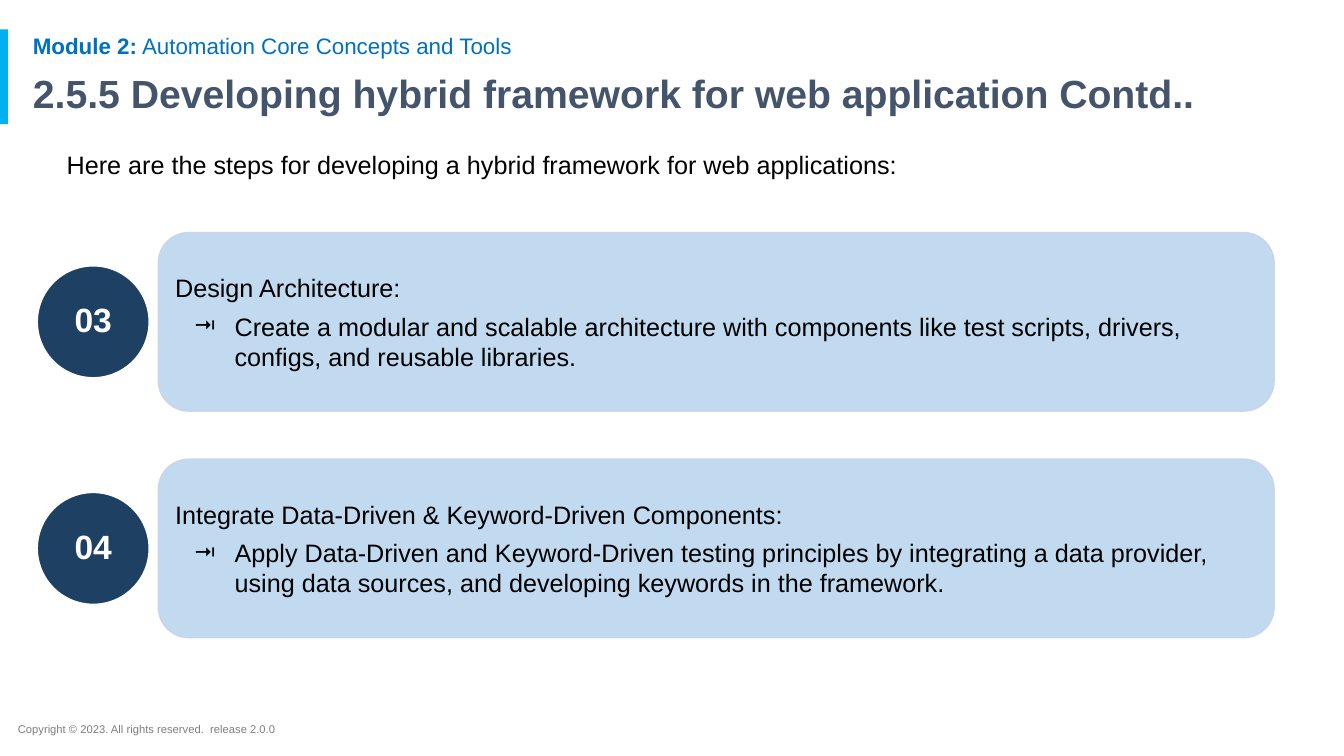
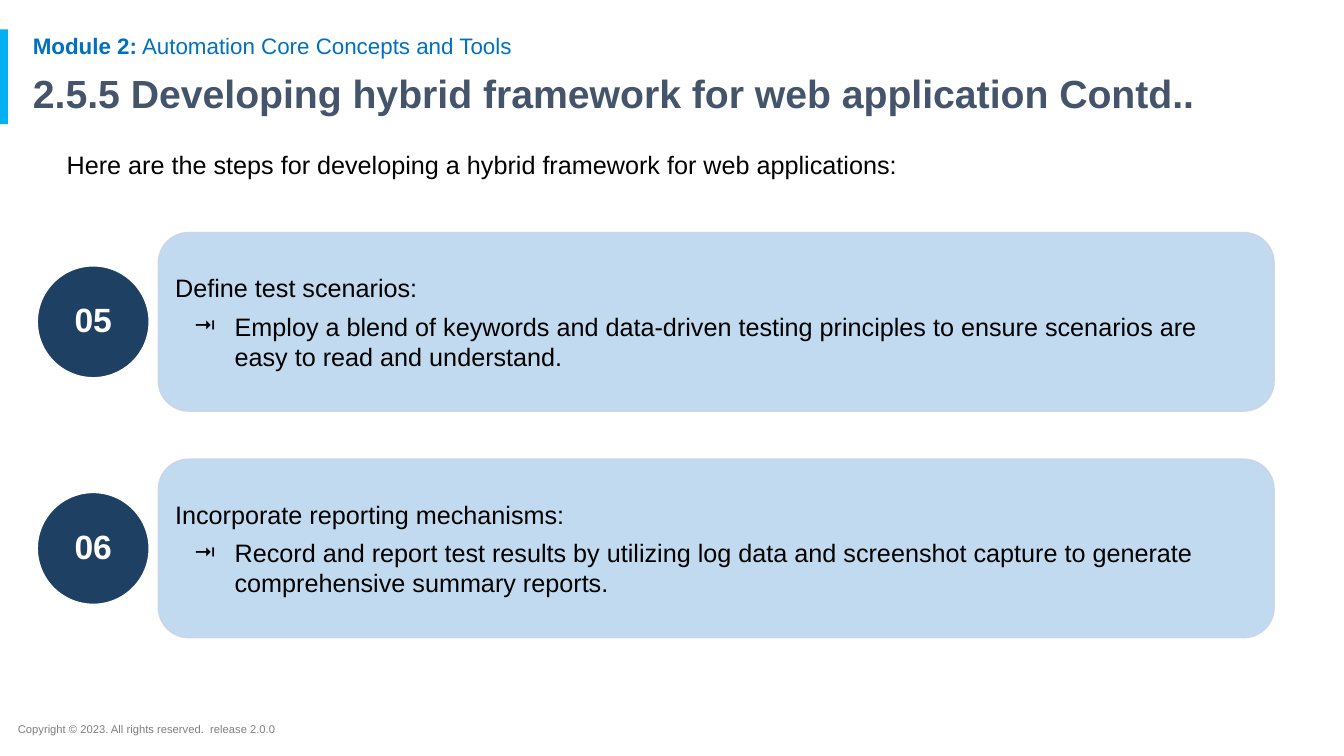
from lxml.etree import SubElement
from pptx import Presentation
from pptx.dml.color import RGBColor
from pptx.enum.shapes import MSO_SHAPE as Shape
from pptx.enum.text import MSO_ANCHOR as Anchor, PP_ALIGN as Align
from pptx.oxml.ns import qn
from pptx.util import Cm, Pt

MODULE = ("Module 2:", " Automation Core Concepts and Tools")
TITLE = "2.5.5 Developing hybrid framework for web application Contd.."
INTRO = "Here are the steps for developing a hybrid framework for web applications:"
FOOTER = "Copyright © 2023. All rights reserved.  release 2.0.0"
FIRST_STEP = 3
SLIDES = [
    [
        ("Design Architecture:",
         "Create a modular and scalable architecture with components like test scripts, "
         "drivers, configs, and reusable libraries."),
        ("Integrate Data-Driven & Keyword-Driven Components:",
         "Apply Data-Driven and Keyword-Driven testing principles by integrating a data "
         "provider, using data sources, and developing keywords in the framework."),
    ],
    [
        ("Define test scenarios:",
         "Employ a blend of keywords and data-driven testing principles to ensure "
         "scenarios are easy to read and understand."),
        ("Incorporate reporting mechanisms:",
         "Record and report test results by utilizing log data and screenshot capture "
         "to generate comprehensive summary reports."),
    ],
]

FONT = "Arial"
BLACK = RGBColor(0x00, 0x00, 0x00)
WHITE = RGBColor(0xFF, 0xFF, 0xFF)
ACCENT = RGBColor(0x00, 0xB0, 0xF0)
MODULE_BLUE = RGBColor(0x00, 0x70, 0xC0)
TITLE_SLATE = RGBColor(0x44, 0x54, 0x6A)
FOOTER_GREY = RGBColor(0x7F, 0x7F, 0x7F)
NAVY = RGBColor(0x1E, 0x40, 0x62)
CARD_FILL = RGBColor(0xBB, 0xD6, 0xEE)
CARD_LINE = RGBColor(0xCC, 0xD3, 0xEA)

TEXT_INSETS = (0.25, 0.13, 0.25, 0.13)
CARD_INSETS = (0.2, 0.23, 0.33, 0.23)
BADGE_INSETS = (0.38, 0.28, 0.38, 0.28)
CARD_LEFT, CARD_TOP, CARD_WIDTH, CARD_HEIGHT = 3.99, 5.86, 28.12, 4.5
CARD_PITCH = 5.71
BADGE_LEFT, BADGE_SIZE = 0.94, 2.82


def add_run(paragraph, text, size, color, bold=False):
    run = paragraph.add_run()
    run.text = text
    font = run.font
    font.name, font.size, font.bold = FONT, Pt(size), bold
    font.color.rgb = color


def set_frame(shape, insets, anchor):
    frame = shape.text_frame
    frame.word_wrap = True
    frame.vertical_anchor = anchor
    (frame.margin_left, frame.margin_top,
     frame.margin_right, frame.margin_bottom) = map(Cm, insets)
    return frame


def add_text(slide, box, runs, size, color, line_spacing=None):
    shape = slide.shapes.add_textbox(*map(Cm, box))
    paragraph = set_frame(shape, TEXT_INSETS, Anchor.TOP).paragraphs[0]
    paragraph.line_spacing = line_spacing
    for text, bold in runs:
        add_run(paragraph, text, size, color, bold)


def add_box(slide, kind, box, fill, line=None):
    shape = slide.shapes.add_shape(kind, *map(Cm, box))
    shape.shadow.inherit = False
    shape.fill.solid()
    shape.fill.fore_color.rgb = fill
    if line is None:
        shape.line.fill.background()
    else:
        shape.line.color.rgb = line
        shape.line.width = Pt(1)
    return shape


def set_opacity(shape, percent):
    for color in shape.element.spPr.iter(qn("a:srgbClr")):
        SubElement(color, qn("a:alpha"), val=str(percent * 1000))


def add_bullet(paragraph, symbol, color, left, hanging):
    properties = paragraph._p.get_or_add_pPr()
    properties.set("marL", str(Cm(left)))
    properties.set("indent", str(-Cm(hanging)))
    bullet_color = SubElement(properties, qn("a:buClr"))
    SubElement(bullet_color, qn("a:srgbClr"), val=str(color))
    SubElement(properties, qn("a:buFont"), typeface=FONT)
    SubElement(properties, qn("a:buChar"), char=symbol)


def add_header_and_footer(slide):
    add_box(slide, Shape.RECTANGLE, (0, 0.74, 0.2, 2.39), ACCENT)
    add_text(slide, (0.2, 18.08, 18.11, 0.61), [(FOOTER, False)], 8, FOOTER_GREY)
    label, name = MODULE
    add_text(slide, (0.58, 0.76, 29.21, 0.84), [(label, True), (name, False)],
             16, MODULE_BLUE, 0.9)
    add_text(slide, (0.58, 1.75, 32.33, 1.37), [(TITLE, True)], 28, TITLE_SLATE, 0.9)


def add_step(slide, row, number, heading, detail):
    top = CARD_TOP + row * CARD_PITCH
    badge_top = top + (CARD_HEIGHT - BADGE_SIZE) / 2
    badge = add_box(slide, Shape.OVAL,
                    (BADGE_LEFT, badge_top, BADGE_SIZE, BADGE_SIZE), NAVY, WHITE)
    paragraph = set_frame(badge, BADGE_INSETS, Anchor.MIDDLE).paragraphs[0]
    paragraph.alignment = Align.CENTER
    paragraph.line_spacing = 0.9
    add_run(paragraph, f"{number:02d}", 24, WHITE, True)

    card = add_box(slide, Shape.ROUNDED_RECTANGLE,
                   (CARD_LEFT, top, CARD_WIDTH, CARD_HEIGHT), CARD_FILL, CARD_LINE)
    card.adjustments[0] = 0.17
    set_opacity(card, 90)
    frame = set_frame(card, CARD_INSETS, Anchor.MIDDLE)
    heading_paragraph, detail_paragraph = frame.paragraphs[0], frame.add_paragraph()
    for paragraph, text in ((heading_paragraph, heading), (detail_paragraph, detail)):
        paragraph.alignment = Align.LEFT
        add_run(paragraph, text, 18, BLACK)
    detail_paragraph.level = 2
    detail_paragraph.space_before = Pt(6)
    add_bullet(detail_paragraph, "⭲", BLACK, 1.5, 1.02)


def main():
    presentation = Presentation()
    presentation.slide_width, presentation.slide_height = Cm(33.87), Cm(19.05)
    number = FIRST_STEP
    for steps in SLIDES:
        slide = presentation.slides.add_slide(presentation.slide_layouts[6])
        add_header_and_footer(slide)
        add_text(slide, (1.43, 3.63, 28.55, 13.44), [(INTRO, False)], 18, BLACK)
        for row, (heading, detail) in enumerate(steps):
            add_step(slide, row, number, heading, detail)
            number += 1
    presentation.save("out.pptx")


if __name__ == "__main__":
    main()
